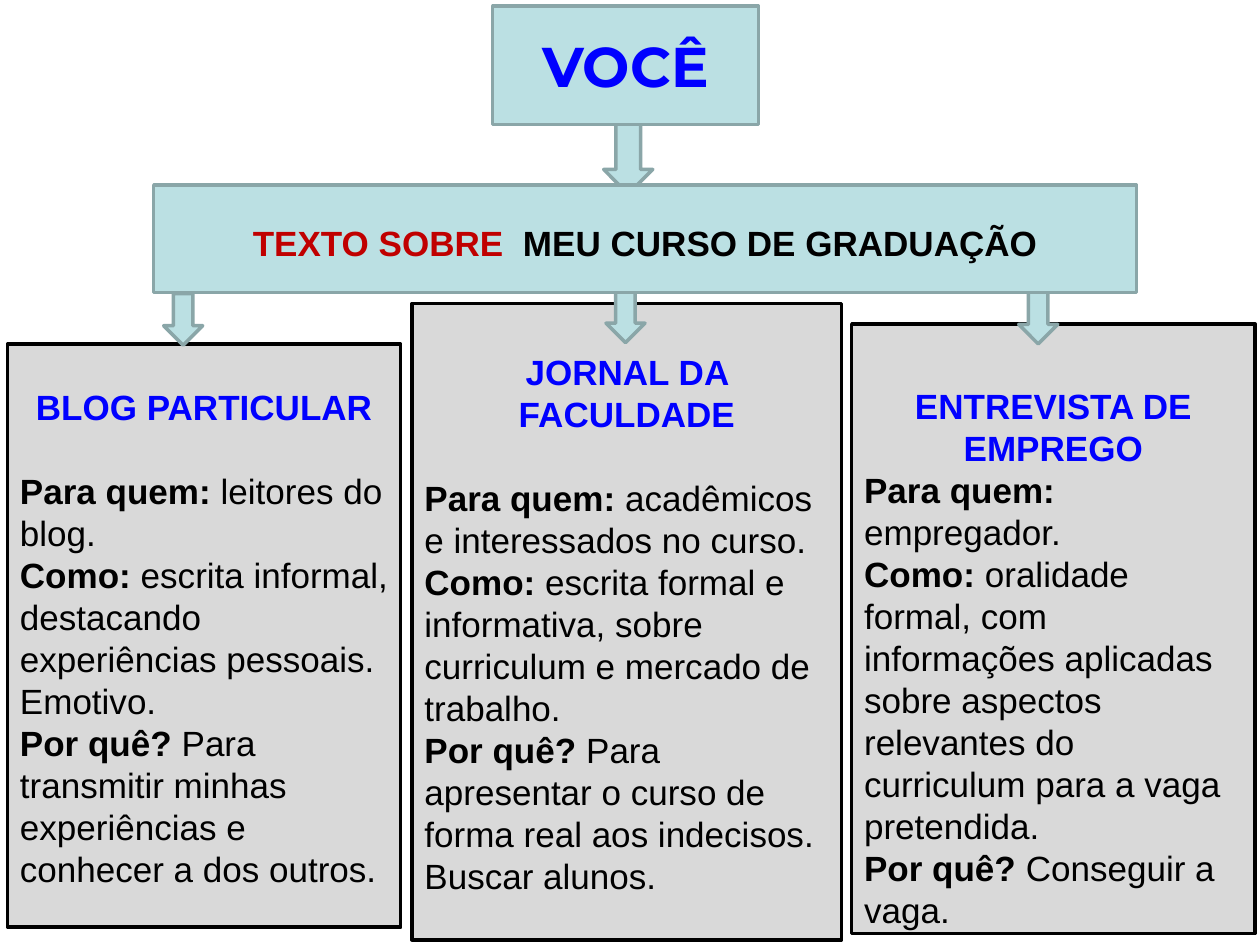
from pptx import Presentation
from pptx import util as u
from pptx.dml.color import RGBColor
from pptx.enum import shapes, text

HUE = {"sky": "BBE0E3", "edge": "8AA6A8", "grey": "D9D9D9",
       "black": "000000", "blue": "0000FF", "red": "C00000"}
COLS, ROWS = 100, 75
CELL = u.Inches(0.1)
LINE = 24
KIND = shapes.MSO_SHAPE
MID, LEFT = text.PP_ALIGN.CENTER, text.PP_ALIGN.LEFT


def tint(name):
    return RGBColor.from_string(HUE[name])


def block(slide, kind, box, fill="sky", edge="edge"):
    item = slide.shapes.add_shape(kind, *(round(n * CELL) for n in box))
    item.shadow.inherit = False
    item.fill.solid()
    item.fill.fore_color.rgb = tint(fill)
    item.line.color.rgb = tint(edge)
    item.line.width = u.Pt(2)
    return item


def write(para, runs, align=LEFT, size=20, font="Arial"):
    para.alignment = align
    for words, hue, bold in runs:
        run = para.add_run()
        run.text = words
        run.font.name = font
        run.font.size = u.Pt(size)
        run.font.bold = bold
        run.font.color.rgb = tint(hue)


def label(slide, box, runs, drop=0, **style):
    item = block(slide, KIND.RECTANGLE, box)
    frame = item.text_frame
    frame.word_wrap = True
    frame.vertical_anchor = text.MSO_ANCHOR.MIDDLE
    frame.margin_top = round((0.5 + drop) * CELL)
    write(frame.paragraphs[0], runs, MID, **style)


def arrow(slide, box, share, top, wide, tall):
    left, y, width, _ = box
    block(slide, KIND.DOWN_ARROW,
          (left + share * width - wide / 2, y + top, wide, tall))


def panel(slide, box, drop, gap, title, facts):
    item = block(slide, KIND.RECTANGLE, box, "grey", "black")
    frame = item.text_frame
    frame.word_wrap = True
    frame.vertical_anchor = text.MSO_ANCHOR.TOP
    frame.margin_top = round(drop * CELL)
    head = frame.paragraphs[0]
    write(head, [(title, "blue", True)], MID)
    head.space_after = u.Pt(gap)
    for key, words in facts:
        write(frame.add_paragraph(),
              [(key + " ", "black", True), (words, "black", False)])


def main():
    deck = Presentation()
    deck.slide_width, deck.slide_height = COLS * CELL, ROWS * CELL
    slide = deck.slides.add_slide(deck.slide_layouts[6])

    top = (39.1, 0.5, 21.1, 9.4)
    bar = (12.2, 14.7, 78, 8.5)
    who, how, why = "Para quem:", "Como:", "Por quê?"
    panels = [
        ((0.6, 27.3, 31.2, 46.3), 3.3, LINE, "BLOG PARTICULAR", [
            (who, "leitores do blog."),
            (how, "escrita informal, destacando experiências pessoais. Emotivo."),
            (why, "Para transmitir minhas experiências e conhecer a dos outros.")]),
        ((32.7, 24.1, 34.1, 50.5), 3.7, LINE, "JORNAL DA FACULDADE", [
            (who, "acadêmicos e interessados no curso."),
            (how, "escrita formal e informativa, sobre curriculum e mercado de trabalho."),
            (why, "Para apresentar o curso de forma real aos indecisos. Buscar alunos.")]),
        ((67.6, 25.7, 32, 48.4), 4.8, 0, "ENTREVISTA DE EMPREGO", [
            (who, "empregador."),
            (how, "oralidade formal, com informações aplicadas sobre aspectos "
                  "relevantes do curriculum para a vaga pretendida."),
            (why, "Conseguir a vaga.")]),
    ]

    arrow(slide, top, 0.51, 7.9, 3.9, 7)
    label(slide, top, [("VOCÊ", "blue", True)], size=32, font="Montserrat")
    for part in panels:
        panel(slide, *part)
    for share, drop, tall in ((0.03, 8.6, 4.1), (0.9, 7.1, 5.5), (0.48, 8.4, 4.1)):
        arrow(slide, bar, share, drop, 3.1, tall)
    label(slide, bar, [("TEXTO SOBRE  ", "red", True),
                       ("MEU CURSO DE GRADUAÇÃO", "black", True)], drop=0.5)
    deck.save("out.pptx")


if __name__ == "__main__":
    main()
